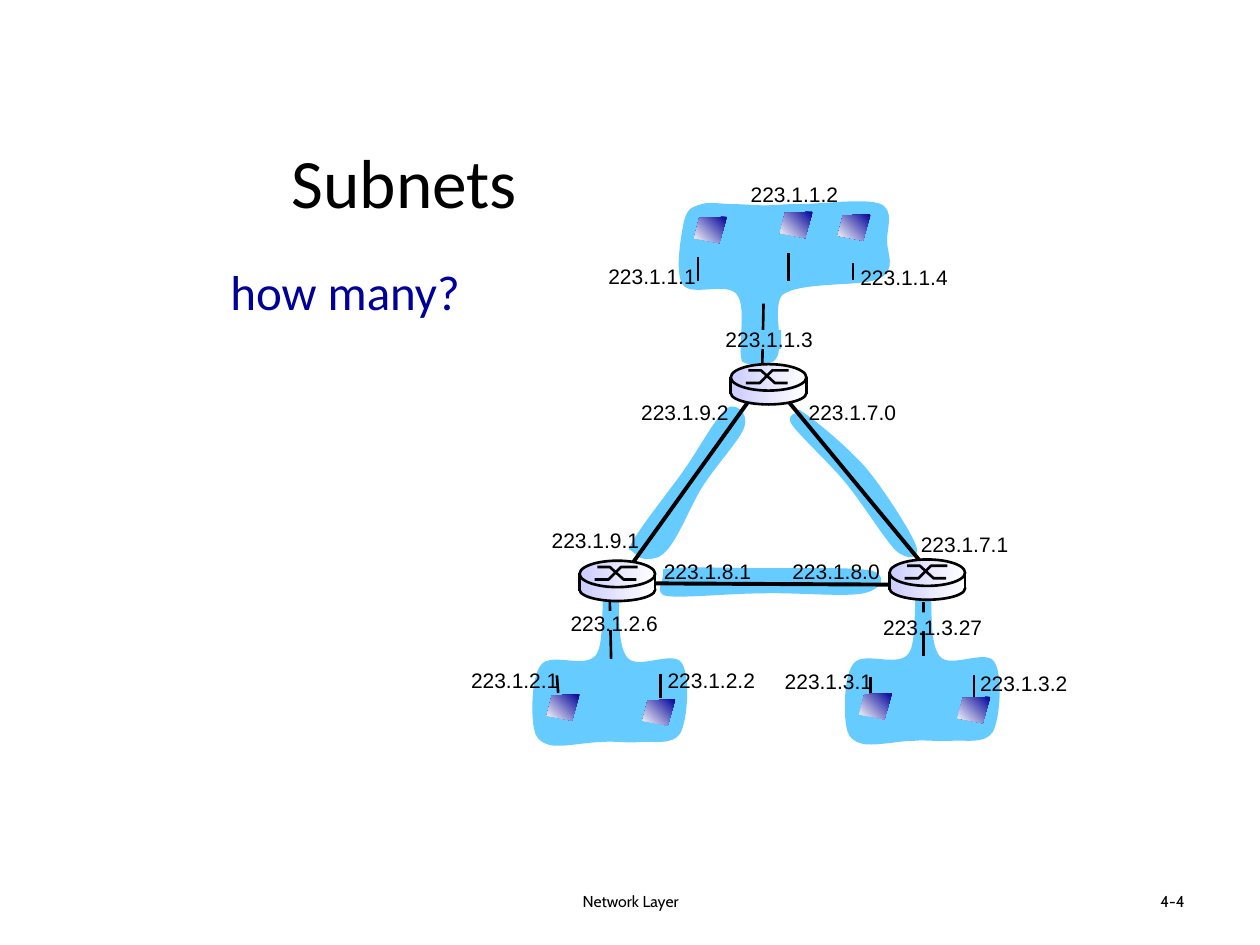
from lxml import etree
from pptx import Presentation
from pptx.dml.color import RGBColor
from pptx.enum.shapes import MSO_CONNECTOR, MSO_SHAPE
from pptx.enum.text import MSO_ANCHOR, PP_ALIGN
from pptx.oxml.ns import qn
from pptx.util import Cm, Pt

BLACK = RGBColor(0x00, 0x00, 0x00)
WHITE = RGBColor(0xFF, 0xFF, 0xFF)
NAVY = RGBColor(0x00, 0x00, 0x99)
SKY = RGBColor(0x66, 0xCC, 0xFF)
LILAC = RGBColor(0xCC, 0xCC, 0xFF)
STRAIGHT = MSO_CONNECTOR.STRAIGHT
RECT, OVAL = MSO_SHAPE.RECTANGLE, MSO_SHAPE.OVAL
LEFT, MID, RIGHT = PP_ALIGN.LEFT, PP_ALIGN.CENTER, PP_ALIGN.RIGHT
TOP, MIDDLE = MSO_ANCHOR.TOP, MSO_ANCHOR.MIDDLE
INCH = 2.54

deck = Presentation()
deck.slide_width, deck.slide_height = Cm(25.4), Cm(19.05)
slide = deck.slides.add_slide(deck.slide_layouts[6])
shapes = slide.shapes


def trace(points, close=True):
    spots = [(Cm(x * INCH), Cm(y * INCH)) for x, y in points]
    pen = shapes.build_freeform(*spots[0], scale=1.0)
    pen.add_line_segments(spots[1:], close=close)
    shape = pen.convert_to_shape()
    shape.shadow.inherit = False
    return shape


def link(ends, width):
    line = shapes.add_connector(STRAIGHT, *(Cm(v * INCH) for v in ends))
    line.line.color.rgb = BLACK
    line.line.width = Pt(width)
    etree.SubElement(line._element.spPr, qn("a:effectLst"))


right_link = [
    (6.27, 3.34), (6.28, 3.4), (6.57, 3.66), (6.71, 3.83), (6.85, 4), (7.02, 4.28),
    (7.11, 4.37), (7.2, 4.45), (7.31, 4.44), (7.27, 4.33), (7.23, 4.22), (7.02, 3.89),
    (6.87, 3.71), (6.71, 3.53), (6.44, 3.31), (6.34, 3.25), (6.3, 3.31), (6.27, 3.27),
    (6.27, 3.34)]
base_link = [
    (5.26, 4.72), (5.31, 4.76), (5.77, 4.71), (6.04, 4.71), (6.3, 4.7), (6.7, 4.74),
    (6.85, 4.71), (7, 4.68), (7.05, 4.57), (6.92, 4.53), (6.79, 4.5), (6.33, 4.51),
    (6.06, 4.51), (5.78, 4.51), (5.39, 4.49), (5.26, 4.52), (5.28, 4.6), (5.2, 4.68),
    (5.26, 4.72)]
left_link = [
    (5.2, 4.43), (5.35, 4.4), (5.46, 4.03), (5.59, 3.84), (5.71, 3.66), (5.89, 3.47),
    (5.91, 3.38), (5.94, 3.28), (5.84, 3.19), (5.77, 3.24), (5.69, 3.3), (5.57, 3.52),
    (5.45, 3.7), (5.32, 3.89), (5.03, 4.24), (4.99, 4.36), (5.06, 4.39), (5.05, 4.46),
    (5.2, 4.43)]
top_net = [
    (6.11, 2.88), (6.27, 2.85), (6.11, 2.45), (6.21, 2.34), (6.36, 2.23), (6.85, 2.28),
    (6.98, 2.21), (7.12, 2.14), (7.04, 2.01), (7.04, 1.91), (7.04, 1.81), (7.1, 1.67),
    (6.99, 1.62), (6.88, 1.57), (6.51, 1.62), (6.35, 1.62), (6.2, 1.62), (6.16, 1.63),
    (6.07, 1.63), (5.98, 1.63), (5.89, 1.62), (5.81, 1.62), (5.73, 1.62), (5.63, 1.6),
    (5.57, 1.62), (5.51, 1.64), (5.46, 1.64), (5.43, 1.75), (5.41, 1.85), (5.35, 2.16),
    (5.42, 2.26), (5.49, 2.36), (5.77, 2.23), (5.85, 2.34), (5.93, 2.44), (5.85, 2.77),
    (5.89, 2.87), (5.96, 2.9), (5.96, 2.91), (6.11, 2.88)]
left_net = [
    (4.81, 4.64), (4.76, 4.64), (4.81, 5.1), (4.73, 5.2), (4.64, 5.31), (4.39, 5.18),
    (4.3, 5.27), (4.22, 5.36), (4.22, 5.62), (4.23, 5.72), (4.24, 5.83), (4.26, 5.88),
    (4.35, 5.91), (4.44, 5.94), (4.65, 5.89), (4.77, 5.89), (4.89, 5.88), (4.97, 5.9),
    (5.07, 5.89), (5.17, 5.88), (5.34, 5.92), (5.4, 5.82), (5.46, 5.71), (5.48, 5.36),
    (5.41, 5.26), (5.34, 5.16), (5.06, 5.32), (4.98, 5.22), (4.89, 5.12), (4.92, 4.77),
    (4.91, 4.67), (4.9, 4.58), (4.93, 4.66), (4.91, 4.65), (4.9, 4.61), (4.86, 4.63),
    (4.81, 4.64)]
right_net = [(x + 2.48, y - 0.01) for x, y in left_net]

for curve in (right_link, base_link, left_link, top_net, left_net, right_net):
    blob = trace(curve)
    blob.fill.solid()
    blob.fill.fore_color.rgb = SKY
    blob.line.fill.background()
    sides = list(blob._element.iter(qn("a:lnTo")))
    for start in range(0, len(curve) - 1, 3):
        bend = etree.Element(qn("a:cubicBezTo"))
        sides[start].addprevious(bend)
        for side in sides[start:start + 3]:
            bend.append(side[0])
            side.getparent().remove(side)

for ends in (
        (6.77, 2.22, 6.77, 2.09), (5.54, 2.04, 5.54, 2.23), (6.06, 2.41, 6.05, 2.89),
        (4.84, 4.77, 4.85, 5.23), (4.43, 5.5, 4.42, 5.36), (5.24, 5.54, 5.24, 5.35),
        (7.33, 4.78, 7.33, 5.21), (6.91, 5.51, 6.91, 5.37), (7.73, 5.56, 7.73, 5.36),
        (6.26, 2.23, 6.26, 2.01)):
    link(ends, 1.5)

for box in ((5.95, 2.62, 0.25, 0.15), (4.79, 4.85, 0.11, 0.15), (7.28, 4.86, 0.11, 0.15)):
    patch = shapes.add_shape(RECT, *(Cm(v * INCH) for v in box))
    patch.shadow.inherit = False
    patch.fill.solid()
    patch.fill.fore_color.rgb = SKY
    patch.line.fill.background()

for ends in ((5.02, 4.47, 5.93, 3.2), (7.3, 4.45, 6.26, 3.19), (7.06, 4.64, 5.17, 4.63)):
    link(ends, 2.25)

texts = [
    ("Subnets", (1.69, 1.12, 3.04, 0.63), "Calibri", 39.6, BLACK, MID, MIDDLE),
    ("how many?", (1.73, 2.03, 3.03, 3.81), "Calibri", 28, NAVY, LEFT, TOP),
    ("Network Layer", (3.42, 6.95, 3.17, 0.4), "Cabin", 9, BLACK, MID, MIDDLE),
    ("4-4", (7.17, 6.95, 2.33, 0.4), "Cabin", 9, BLACK, RIGHT, MIDDLE)]
for tail, x, y in (
        ("1.1", 4.73, 2.04), ("1.2", 5.86, 1.39), ("1.3", 5.66, 2.54), ("1.4", 6.73, 2.05),
        ("2.1", 3.64, 5.25), ("2.2", 5.2, 5.25), ("2.6", 4.43, 4.8),
        ("3.1", 6.13, 5.26), ("3.2", 7.68, 5.27), ("3.27", 6.91, 4.83),
        ("7.0", 6.32, 3.12), ("7.1", 7.21, 4.17), ("8.0", 6.19, 4.38),
        ("8.1", 5.17, 4.38), ("9.1", 4.28, 4.14), ("9.2", 4.99, 3.12)):
    width = 0.9 if len(tail) == 3 else 0.99
    texts.append(("223.1." + tail, (x, y, width, 0.3), "Arial", 12, BLACK, LEFT, TOP))

for words, box, face, size, shade, align, anchor in texts:
    frame = shapes.add_textbox(*(Cm(v * INCH) for v in box)).text_frame
    frame.word_wrap = face != "Arial"
    frame.vertical_anchor = anchor
    line = frame.paragraphs[0]
    line.alignment = align
    run = line.add_run()
    run.text = words
    run.font.name = face
    run.font.size = Pt(size)
    run.font.color.rgb = shade

for x, y in ((5.8, 2.89), (7.06, 4.44), (4.6, 4.45)):
    for kind, drop, width, height in (
            (OVAL, 0.14, 0.6, 0.18), (RECT, 0.12, 0.61, 0.11), (OVAL, 0, 0.6, 0.21)):
        part = shapes.add_shape(
            kind, *(Cm(v * INCH) for v in (x, y + drop, width, height)))
        part.shadow.inherit = False
        part.fill.gradient()
        part.fill.gradient_angle = 0
        for stop, shade in zip(part.fill.gradient_stops, (LILAC, WHITE)):
            stop.color.rgb = shade
        if kind == OVAL:
            part.line.color.rgb = BLACK
            part.line.width = Pt(1.5)
        else:
            part.line.fill.background()
    for bend in (
            ((0.12, 0.15), (0.23, 0.15), (0.33, 0.05), (0.46, 0.05)),
            ((0.14, 0.05), (0.24, 0.05), (0.35, 0.15), (0.45, 0.15))):
        mark = trace([(x + dx, y + dy) for dx, dy in bend], close=False)
        mark.fill.background()
        mark.line.color.rgb = BLACK
        mark.line.width = Pt(1.5)
    for side in (x, x + 0.6):
        link((side, y + 0.1, side, y + 0.24), 1.5)

for x, y in ((6.65, 1.7), (5.51, 1.72), (6.19, 1.68), (7.6, 5.53),
             (6.82, 5.5), (4.34, 5.51), (5.1, 5.55)):
    host = trace([(x + 0.26, y), (x + 0.04, y + 0.01), (x, y + 0.17), (x + 0.2, y + 0.21)])
    host.line.fill.background()
    host.fill.gradient()
    host.fill.gradient_angle = 225
    for stop, shade in zip(host.fill.gradient_stops, (NAVY, WHITE)):
        stop.color.rgb = shade

deck.save("out.pptx")
